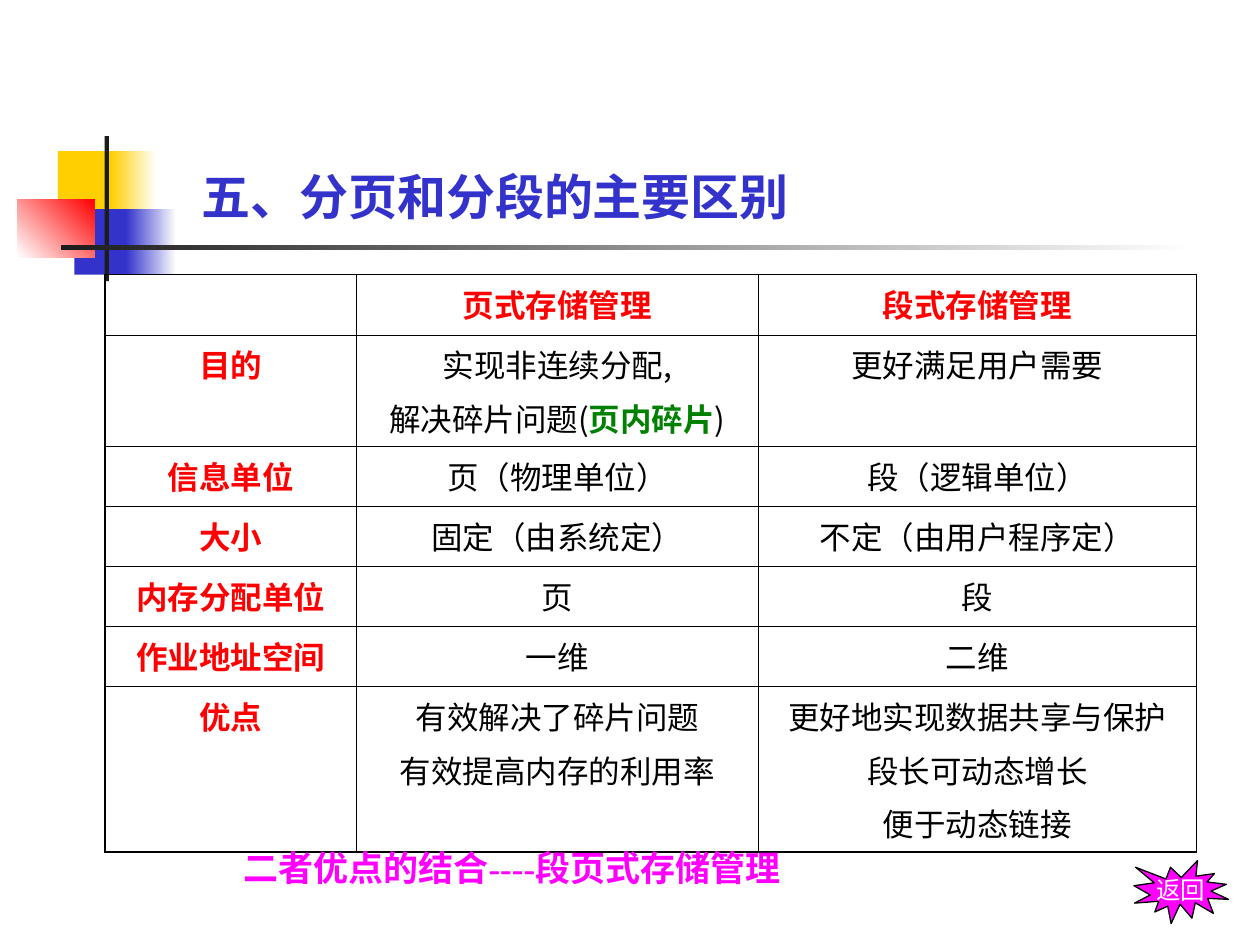
from lxml import etree
from pptx import Presentation
from pptx.dml.color import RGBColor
from pptx.enum.shapes import MSO_SHAPE
from pptx.enum.text import MSO_ANCHOR, MSO_AUTO_SIZE, PP_ALIGN
from pptx.oxml.ns import qn
from pptx.util import Pt

RECT, BURST = MSO_SHAPE.RECTANGLE, MSO_SHAPE.EXPLOSION1
LEFT, CENTER = PP_ALIGN.LEFT, PP_ALIGN.CENTER
MIDDLE, BOTTOM = MSO_ANCHOR.MIDDLE, MSO_ANCHOR.BOTTOM
NO_FIT, GROW = MSO_AUTO_SIZE.NONE, MSO_AUTO_SIZE.SHAPE_TO_FIT_TEXT

BLACK = RGBColor(0x00, 0x00, 0x00)
WHITE = RGBColor(0xFF, 0xFF, 0xFF)
DARK = RGBColor(0x1C, 0x1C, 0x1C)
YELLOW = RGBColor(0xFF, 0xCF, 0x01)
BLUE = RGBColor(0x33, 0x33, 0xCC)
RED = RGBColor(0xFF, 0x00, 0x00)
GREEN = RGBColor(0x00, 0x80, 0x00)
PINK = RGBColor(0xFF, 0x00, 0xFF)
HAN = "Noto Sans CJK SC"


def add_run(para, text, size, color, bold=False, face=HAN):
    run = para.add_run()
    run.text = text
    font = run.font
    font.size, font.bold, font.name = Pt(size), bold, face
    font.color.rgb = color
    etree.SubElement(font._element, qn("a:ea"), typeface=HAN)


def add_edge(cell, side, width):
    """Draw one black cell border; side is L, R, T or B."""
    props = cell._tc.get_or_add_tcPr()
    line = etree.SubElement(props, qn("a:ln" + side), w=str(Pt(width)))
    fill = etree.SubElement(line, qn("a:solidFill"))
    etree.SubElement(fill, qn("a:srgbClr"), val=str(BLACK))


prs = Presentation()
prs.slide_width, prs.slide_height = Pt(720), Pt(540)
slide = prs.slides.add_slide(prs.slide_layouts[5])
shapes = slide.shapes

# Corner blocks and rules: left, top, width, height, colours, angle
DECOR = [
    (33.1, 86.4, 34.6, 37.4, [YELLOW], 0),
    (63.4, 86.4, 25.9, 37.4, [YELLOW, WHITE], 0),
    (42.5, 119.5, 33.1, 37.4, [BLUE], 0),
    (72, 119.5, 28.8, 37.4, [BLUE, WHITE], 0),
    (10.1, 113.8, 43.9, 33.1, [WHITE, RED], 45),
    (59.8, 77.8, 2.5, 82.8, [DARK], 0),
    (34.6, 140.2, 648, 2.5, [DARK, WHITE], 0),
]
for left, top, width, height, colors, angle in DECOR:
    block = shapes.add_shape(RECT, Pt(left), Pt(top), Pt(width), Pt(height))
    block.shadow.inherit = False
    block.line.fill.background()
    if len(colors) == 1:
        block.fill.solid()
        block.fill.fore_color.rgb = colors[0]
    else:
        block.fill.gradient()
        block.fill.gradient_angle = angle
        for stop, color in zip(block.fill.gradient_stops, colors):
            stop.color.rgb = color

title = shapes.title
title.left, title.top, title.width, title.height = Pt(108), Pt(77.8), Pt(461.5), Pt(54.7)
frame = title.text_frame
frame.auto_size, frame.vertical_anchor = NO_FIT, BOTTOM
para = frame.paragraphs[0]
para.alignment = LEFT
add_run(para, "五、分页和分段的主要区别", 28, BLUE, True)

# Each cell is a list of lines, each line a list of pieces
FRAG = "页内碎片"
ROWS = [
    [[], [["页式存储管理"]], [["段式存储管理"]]],
    [[["目的"]], [["实现非连续分配,"], ["解决碎片问题(", FRAG, ")"]], [["更好满足用户需要"]]],
    [[["信息单位"]], [["页（物理单位）"]], [["段（逻辑单位）"]]],
    [[["大小"]], [["固定（由系统定）"]], [["不定（由用户程序定）"]]],
    [[["内存分配单位"]], [["页"]], [["段"]]],
    [[["作业地址空间"]], [["一维"]], [["二维"]]],
    [[["优点"]], [["有效解决了碎片问题"], ["有效提高内存的利用率"]],
     [["更好地实现数据共享与保护"], ["段长可动态增长"], ["便于动态链接"]]],
]
WIDTHS = [144, 229.5, 250.5]
HEIGHTS = [34.6, 63.6, 34.3, 34.3, 34.3, 34.3, 81.2]
THICK, THIN = 1.08, 0.45

table = shapes.add_table(len(ROWS), len(WIDTHS), Pt(59.8), Pt(156.8),
                         Pt(sum(WIDTHS)), Pt(sum(HEIGHTS))).table
table.first_row = table.horz_banding = False
for col, width in zip(table.columns, WIDTHS):
    col.width = Pt(width)
for row, height in zip(table.rows, HEIGHTS):
    row.height = Pt(height)

last_row, last_col = len(ROWS) - 1, len(WIDTHS) - 1
for r, row in enumerate(ROWS):
    for c, lines in enumerate(row):
        cell = table.cell(r, c)
        outer = {"L": c == 0, "R": c == last_col, "T": r == 0, "B": r == last_row}
        for side, edge in outer.items():
            add_edge(cell, side, THICK if edge else THIN)
        cell.fill.background()
        head = r == 0 or c == 0
        for i, line in enumerate(lines):
            frame = cell.text_frame
            para = frame.add_paragraph() if i else frame.paragraphs[0]
            para.alignment = CENTER
            if i:
                para.space_before = Pt(4.5)
            for piece in line:
                color = RED if head else GREEN if piece == FRAG else BLACK
                add_run(para, piece, 18, color, head or piece == FRAG)

note = shapes.add_textbox(Pt(131.8), Pt(480.2), Pt(455.8), Pt(31.7))
note.text_frame.word_wrap = True
note.text_frame.auto_size = GROW
add_run(note.text_frame.paragraphs[0], "二者优点的结合----段页式存储管理",
        20, PINK, True, "Times New Roman")

back = shapes.add_shape(BURST, Pt(648), Pt(491.8), Pt(54), Pt(36))
back.shadow.inherit = False
back.fill.solid()
back.fill.fore_color.rgb = PINK
back.line.color.rgb = BLACK
back.line.width = Pt(0.75)
frame = back.text_frame
frame.word_wrap, frame.vertical_anchor = False, MIDDLE
para = frame.paragraphs[0]
para.alignment = CENTER
add_run(para, "返回", 14, WHITE, face="Karla")

prs.save("out.pptx")
